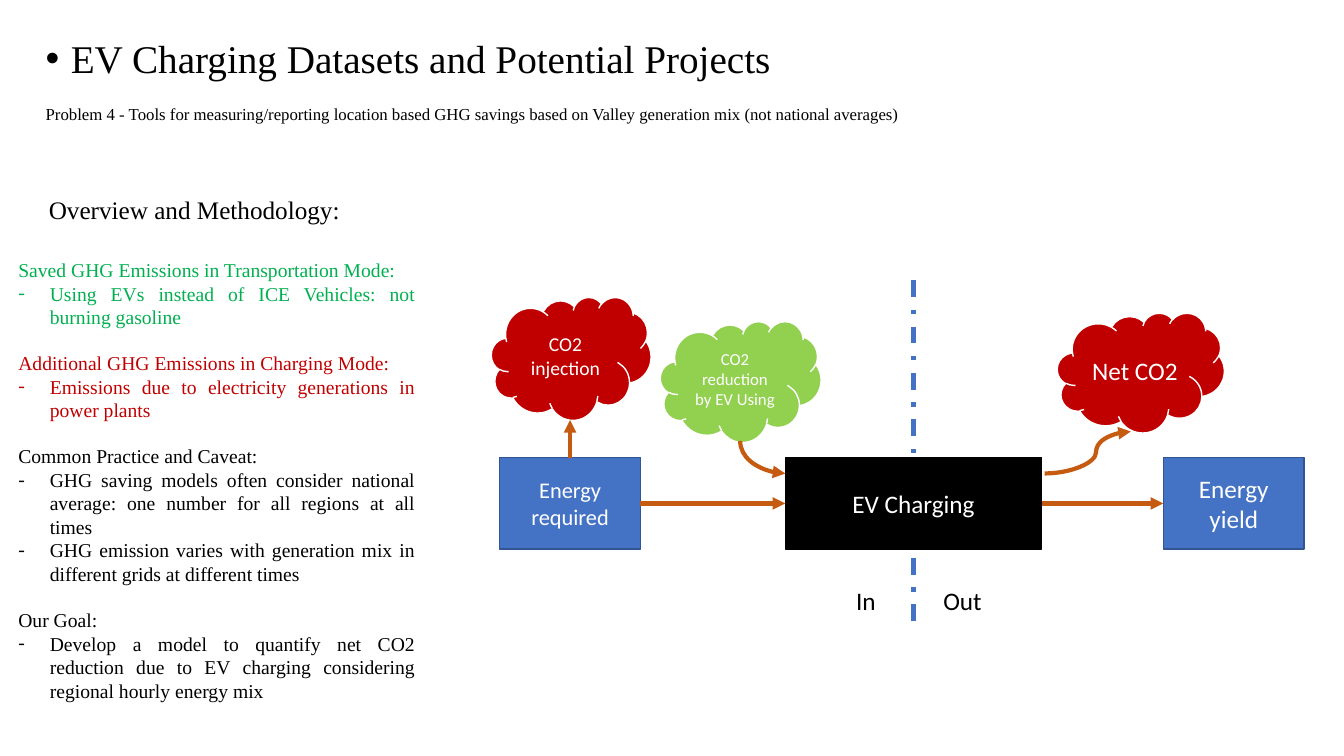
import dataclasses

import lxml.etree
import pptx
import pptx.dml.color
import pptx.enum.dml
import pptx.enum.shapes
import pptx.enum.text
import pptx.oxml.ns
import pptx.util

SHAPE = pptx.enum.shapes.MSO_SHAPE
CONNECTOR = pptx.enum.shapes.MSO_CONNECTOR
ALIGN = pptx.enum.text.PP_ALIGN
ANCHOR = pptx.enum.text.MSO_ANCHOR
AUTO_SIZE = pptx.enum.text.MSO_AUTO_SIZE
DASH = pptx.enum.dml.MSO_LINE
TOP, BOTTOM, LEFT, RIGHT = 0, 2, 1, 3
EMU_PER_PX = 9525


@dataclasses.dataclass(frozen=True)
class Theme:
    serif: str = "Times New Roman"
    sans: str = "Calibri"
    black: str = "000000"
    white: str = "FFFFFF"
    blue: str = "4472C4"
    navy: str = "325491"
    red: str = "C00000"
    lime: str = "92D050"
    green: str = "00B050"
    orange: str = "C55A11"
    title: int = 28
    large: int = 18
    medium: int = 16
    body: int = 14
    small: int = 12
    outline: int = 1
    flow: int = 3


theme = Theme()

SLIDE_SIZE = (1280, 720)
TITLE = ("EV Charging Datasets and Potential Projects", (34, 33, 874, 62))
LABELS = [
    ("Problem 4 - Tools for measuring/reporting location based GHG savings based on "
     "Valley generation mix (not national averages)",
     (34, 94, 1172, 29), theme.serif, theme.small, True),
    ("Overview and Methodology:", (37, 180, 307, 38), theme.serif, theme.large, True),
    ("In", (806, 553, 38, 38), theme.sans, theme.large, False),
    ("Out", (889, 553, 57, 38), theme.sans, theme.large, False),
]
METHOD_BOX = (8, 241, 397, 440)
METHOD_INDENT = 30
METHOD_GAP = 16.1
METHOD = [
    ("Saved GHG Emissions in Transportation Mode:", theme.green,
     ["Using EVs instead of ICE Vehicles: not burning gasoline"]),
    ("Additional GHG Emissions in Charging Mode:", theme.red,
     ["Emissions due to electricity generations in power plants"]),
    ("Common Practice and Caveat:", theme.black,
     ["GHG saving models often consider national average: one number for all regions at all times",
      "GHG emission varies with generation mix in different grids at different times"]),
    ("Our Goal:", theme.black,
     ["Develop a model to quantify net CO2 reduction due to EV charging considering "
      "regional hourly energy mix"]),
]
ROW_TOP, ROW_HEIGHT = 436, 87
STAGES = [
    ("EV Charging", 748, 244, theme.black, theme.black, theme.large),
    ("Energy required", 476, 134, theme.blue, theme.navy, theme.medium),
    ("Energy yield", 1108, 134, theme.blue, theme.navy, theme.large),
]
CLOUDS = [
    ("CO2 injection", (468, 283, 152, 117), theme.red, theme.body),
    ("CO2 reduction by EV Using", (629, 306, 153, 115), theme.lime, theme.small),
    ("Net CO2", (1007, 298, 159, 114), theme.red, theme.large),
]
DIVIDER = (870, 267, 870, 602)
INJECTION_ARROW = (543, 436, 543, 400)
STAGE_FLOWS = [("Energy required", "EV Charging"), ("EV Charging", "Energy yield")]
REDUCTION_CURVE = (705, 420, 748, 451)
NET_CURVE = (995, 451, 1077, 411)
NET_BEND = 59600

deck = pptx.Presentation()
deck.slide_width, deck.slide_height = (side * EMU_PER_PX for side in SLIDE_SIZE)
slide = deck.slides.add_slide(deck.slide_layouts[6])


def emu(lengths):
    return [round(length * EMU_PER_PX) for length in lengths]


def rgb(code):
    return pptx.dml.color.RGBColor.from_string(code)


def set_all(target, values):
    for key, value in values.items():
        setattr(target, key, value)


def add_child(parent, tag, **attributes):
    child = lxml.etree.SubElement(parent, pptx.oxml.ns.qn(tag))
    for key, value in attributes.items():
        child.set(key, str(value))
    return child


def write(paragraph, text, face, size, color, **layout):
    run = paragraph.add_run()
    run.text = text
    set_all(run.font, {"name": face, "size": pptx.util.Pt(size)})
    run.font.color.rgb = rgb(color)
    set_all(paragraph, layout)


def add_bullet(paragraph, mark, indent, face):
    properties = paragraph._p.get_or_add_pPr()
    properties.set("marL", str(indent * EMU_PER_PX))
    properties.set("indent", str(-indent * EMU_PER_PX))
    add_child(properties, "a:buFont", typeface=face)
    add_child(properties, "a:buChar", char=mark)


def add_text_frame(box, wrap=True, fit=AUTO_SIZE.SHAPE_TO_FIT_TEXT):
    frame = slide.shapes.add_textbox(*emu(box)).text_frame
    set_all(frame, {"word_wrap": wrap, "auto_size": fit})
    return frame


def add_node(kind, box, text, fill, outline, size):
    node = slide.shapes.add_shape(kind, *emu(box))
    node.shadow.inherit = False
    node.fill.solid()
    node.fill.fore_color.rgb = rgb(fill)
    node.line.color.rgb = rgb(outline)
    node.line.width = pptx.util.Pt(theme.outline)
    set_all(node.text_frame, {"word_wrap": True, "vertical_anchor": ANCHOR.MIDDLE})
    write(node.text_frame.paragraphs[0], text, theme.sans, size, theme.white,
          alignment=ALIGN.CENTER)
    return node


def add_line(ends, color, kind=CONNECTOR.STRAIGHT, dash=None, arrow=True):
    line = slide.shapes.add_connector(kind, *emu(ends))
    line.line.color.rgb = rgb(color)
    set_all(line.line, {"width": pptx.util.Pt(theme.flow), "dash_style": dash})
    if arrow:
        add_child(line.line._get_or_add_ln(), "a:tailEnd", type="triangle")
    add_child(line._element.spPr, "a:effectLst")
    return line


title = add_text_frame(TITLE[1], fit=AUTO_SIZE.NONE).paragraphs[0]
add_bullet(title, "•", 24, "Arial")
write(title, TITLE[0], theme.serif, theme.title, theme.black, line_spacing=0.9)

for text, box, face, size, wrap in LABELS:
    write(add_text_frame(box, wrap).paragraphs[0], text, face, size, theme.black)

method = add_text_frame(METHOD_BOX)
for number, (heading, color, points) in enumerate(METHOD):
    paragraph = method.add_paragraph() if number else method.paragraphs[0]
    write(paragraph, heading, theme.serif, theme.body, color, alignment=ALIGN.JUSTIFY,
          space_before=pptx.util.Pt(METHOD_GAP if number else 0))
    for point in points:
        paragraph = method.add_paragraph()
        add_bullet(paragraph, "-", METHOD_INDENT, theme.serif)
        write(paragraph, point, theme.serif, theme.body, color, alignment=ALIGN.JUSTIFY)

add_line(DIVIDER, theme.blue, dash=DASH.DASH_DOT, arrow=False)

stages = {}
for name, left, width, fill, outline, size in STAGES:
    stages[name] = add_node(SHAPE.RECTANGLE, (left, ROW_TOP, width, ROW_HEIGHT),
                            name, fill, outline, size)
for name, box, fill, size in CLOUDS:
    add_node(SHAPE.CLOUD, box, name, fill, theme.white, size)

add_line(INJECTION_ARROW, theme.orange).begin_connect(stages["Energy required"], TOP)
for source, target in STAGE_FLOWS:
    flow = add_line((0, 0, 0, 0), theme.orange)
    flow.begin_connect(stages[source], RIGHT)
    flow.end_connect(stages[target], LEFT)

x1, y1, x2, y2 = REDUCTION_CURVE
center_x, center_y = (x1 + x2) / 2, (y1 + y2) / 2
half_width, half_height = (y2 - y1) / 2, (x2 - x1) / 2
reduction = add_line((center_x + half_width, center_y - half_height,
                      center_x - half_width, center_y + half_height),
                     theme.orange, CONNECTOR.CURVE)
reduction._element.spPr.find(pptx.oxml.ns.qn("a:xfrm")).set("rot", str(270 * 60000))
reduction._element.spPr.find(pptx.oxml.ns.qn("a:prstGeom")).set("prst", "curvedConnector2")

net = add_line(NET_CURVE, theme.orange, CONNECTOR.CURVE)
bends = net._element.spPr.find(".//" + pptx.oxml.ns.qn("a:avLst"))
add_child(bends, "a:gd", name="adj1", fmla=f"val {NET_BEND}")

deck.save("out.pptx")
